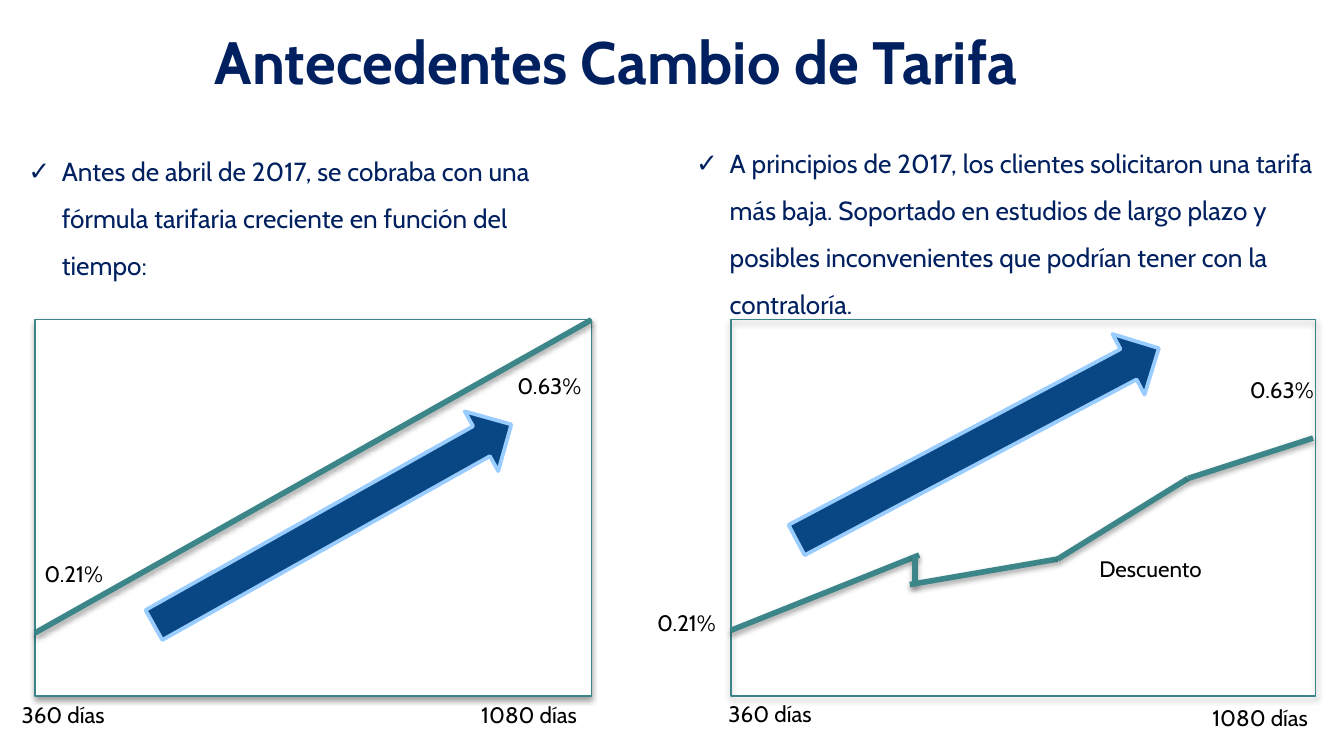
from itertools import pairwise

from lxml.etree import SubElement
from pptx import Presentation
from pptx.dml.color import RGBColor
from pptx.enum.shapes import MSO_CONNECTOR, MSO_SHAPE
from pptx.enum.text import MSO_AUTO_SIZE, PP_ALIGN
from pptx.oxml.ns import qn
from pptx.util import Inches, Pt

FONT = "Cabin"
COLORS = {
    "white": "FFFFFF",
    "black": "000000",
    "navy": "002060",
    "frame": "398588",
    "curve": "3C8689",
    "arrow": "094784",
    "arrow_edge": "99CCFF",
}


def color(name):
    return RGBColor.from_string(COLORS[name])


def set_line(shape, name, width):
    shape.line.color.rgb = color(name)
    shape.line.width = Pt(width)


def add_shadow(shape, distance, opacity):
    """Give the shape a soft shadow straight below it; call after setting the line."""
    effects = SubElement(shape._element.spPr, qn("a:effectLst"))
    shadow = SubElement(effects, qn("a:outerShdw"), blurRad=str(Pt(3.1)),
                        dist=str(Pt(distance)), dir="5400000", rotWithShape="0")
    shade = SubElement(shadow, qn("a:srgbClr"), val=COLORS["black"])
    SubElement(shade, qn("a:alpha"), val=str(opacity * 1000))


def add_frame(slide, left, width, filled):
    frame = slide.shapes.add_shape(MSO_SHAPE.RECTANGLE, Inches(left), Inches(2.38),
                                   Inches(width), Inches(2.8))
    if filled:
        frame.fill.solid()
        frame.fill.fore_color.rgb = color("white")
    else:
        frame.fill.background()
    set_line(frame, "frame", 0.75)
    add_shadow(frame, 1.6, 38)


def add_segment(slide, start, end):
    segment = slide.shapes.add_connector(MSO_CONNECTOR.STRAIGHT,
                                         *map(Inches, (*start, *end)))
    set_line(segment, "curve", 3)
    add_shadow(segment, 1.8, 35)


def add_trend_arrow(slide, left, top, rotation):
    arrow = slide.shapes.add_shape(MSO_SHAPE.RIGHT_ARROW, Inches(left), Inches(top),
                                   Inches(3.05), Inches(0.51))
    arrow.rotation = rotation
    arrow.shadow.inherit = False
    arrow.fill.solid()
    arrow.fill.fore_color.rgb = color("arrow")
    set_line(arrow, "arrow_edge", 2)


def add_text(slide, text, left, top, width, height, size, name, wrap=False, inset=(0.07, 0.04)):
    """Add a one-paragraph text box and return its paragraph."""
    box = slide.shapes.add_textbox(*map(Inches, (left, top, width, height)))
    frame = box.text_frame
    frame.word_wrap = wrap
    frame.auto_size = MSO_AUTO_SIZE.NONE if wrap else MSO_AUTO_SIZE.SHAPE_TO_FIT_TEXT
    frame.margin_left = frame.margin_right = Inches(inset[0])
    frame.margin_top = frame.margin_bottom = Inches(inset[1])
    para = frame.paragraphs[0]
    span = para.add_run()
    span.text = text
    span.font.name = FONT
    span.font.size = Pt(size)
    span.font.color.rgb = color(name)
    return para


def add_title(slide, text):
    para = add_text(slide, text, 1.15, 0.03, 6.87, 0.75, 32, "navy", inset=(0.1, 0.05))
    para.alignment = PP_ALIGN.CENTER
    para.line_spacing = 1.2
    para.runs[0].font.bold = True


def add_bullet(slide, text, left, top, width):
    para = add_text(slide, text, left, top, width, 1.07, 14, "navy", wrap=True)
    para.line_spacing = 1.5
    para.space_before = Pt(10)
    properties = para._p.get_or_add_pPr()
    properties.set("marL", str(Inches(0.25)))
    properties.set("indent", str(Inches(-0.25)))
    SubElement(properties, qn("a:buFont"), typeface=FONT)
    SubElement(properties, qn("a:buChar"), char="✓")


def add_label(slide, text, left, top, width):
    add_text(slide, text, left, top, width, 0.28, 12, "black")


def main():
    deck = Presentation()
    deck.slide_width = Inches(10)
    deck.slide_height = deck.slide_width * 9 // 16
    slide = deck.slides.add_slide(deck.slide_layouts[6])

    add_frame(slide, 0.26, 4.14, filled=True)
    add_frame(slide, 5.44, 4.35, filled=False)
    add_trend_arrow(slide, 0.95, 3.65, 330.7)
    add_trend_arrow(slide, 5.75, 3.05, 332.1)

    rising_fee = [(0.26, 4.71), (4.4, 2.38)]
    fee_before_discount = [(5.44, 4.69), (6.84, 4.13)]
    discount_drop = [(6.81, 4.13), (6.81, 4.36)]
    discounted_fee = [(6.77, 4.35), (7.87, 4.16), (8.84, 3.56), (9.77, 3.26)]
    for curve in (rising_fee, fee_before_discount, discount_drop, discounted_fee):
        for start, end in pairwise(curve):
            add_segment(slide, start, end)

    for text, left, top, width in [
        ("360 días", 0.09, 5.18, 0.79),
        ("1080 días", 3.51, 5.18, 0.89),
        ("0.21%", 0.26, 4.13, 0.63),
        ("0.63%", 3.78, 2.73, 0.63),
        ("360 días", 5.35, 5.17, 0.79),
        ("1080 días", 8.95, 5.2, 0.89),
        ("0.21%", 4.82, 4.49, 0.63),
        ("0.63%", 9.23, 2.76, 0.63),
        ("Descuento", 8.11, 4.09, 0.95),
    ]:
        add_label(slide, text, left, top, width)

    add_title(slide, "Antecedentes Cambio de Tarifa")
    add_bullet(slide, "Antes de abril de 2017, se cobraba con una fórmula tarifaria "
               "creciente en función del tiempo:", 0.14, 1, 4.32)
    add_bullet(slide, "A principios de 2017, los clientes solicitaron una tarifa más baja. "
               "Soportado en estudios de largo plazo y posibles inconvenientes que podrían "
               "tener con la contraloría.", 5.11, 0.94, 4.86)

    deck.save("out.pptx")


if __name__ == "__main__":
    main()
